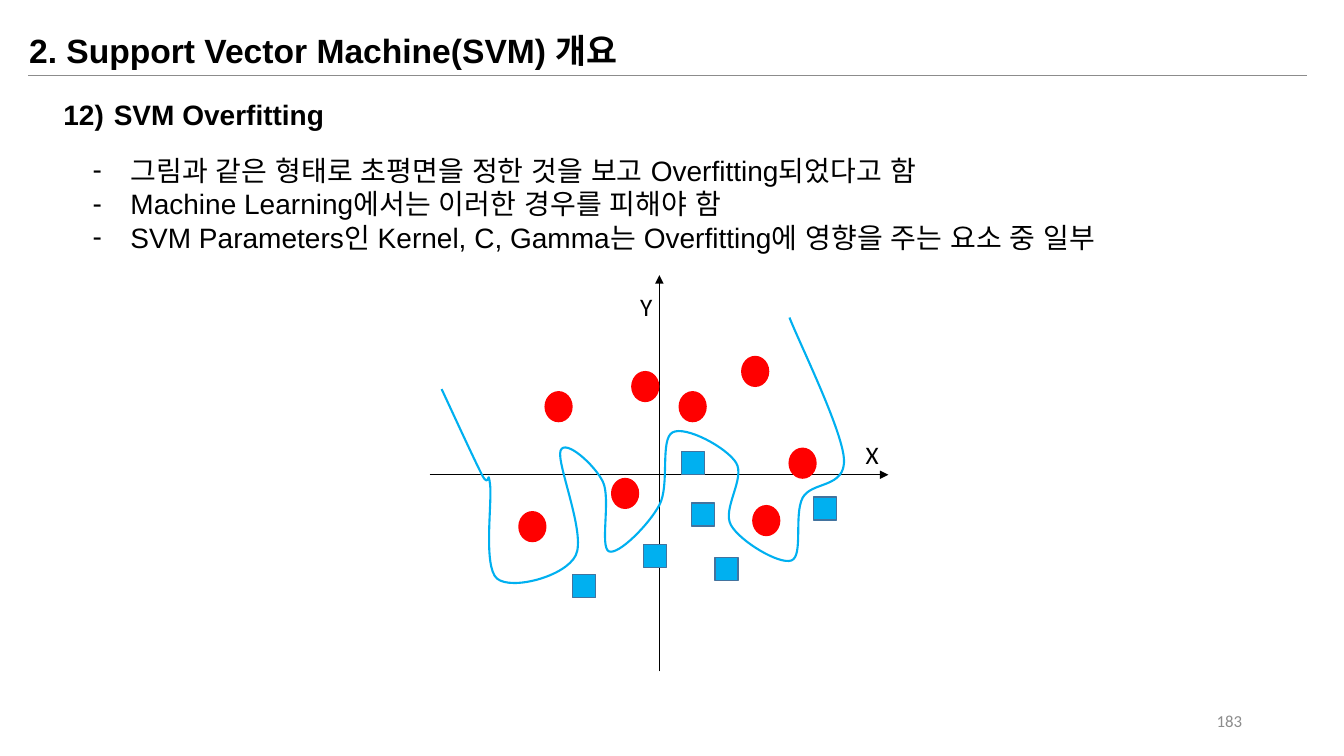
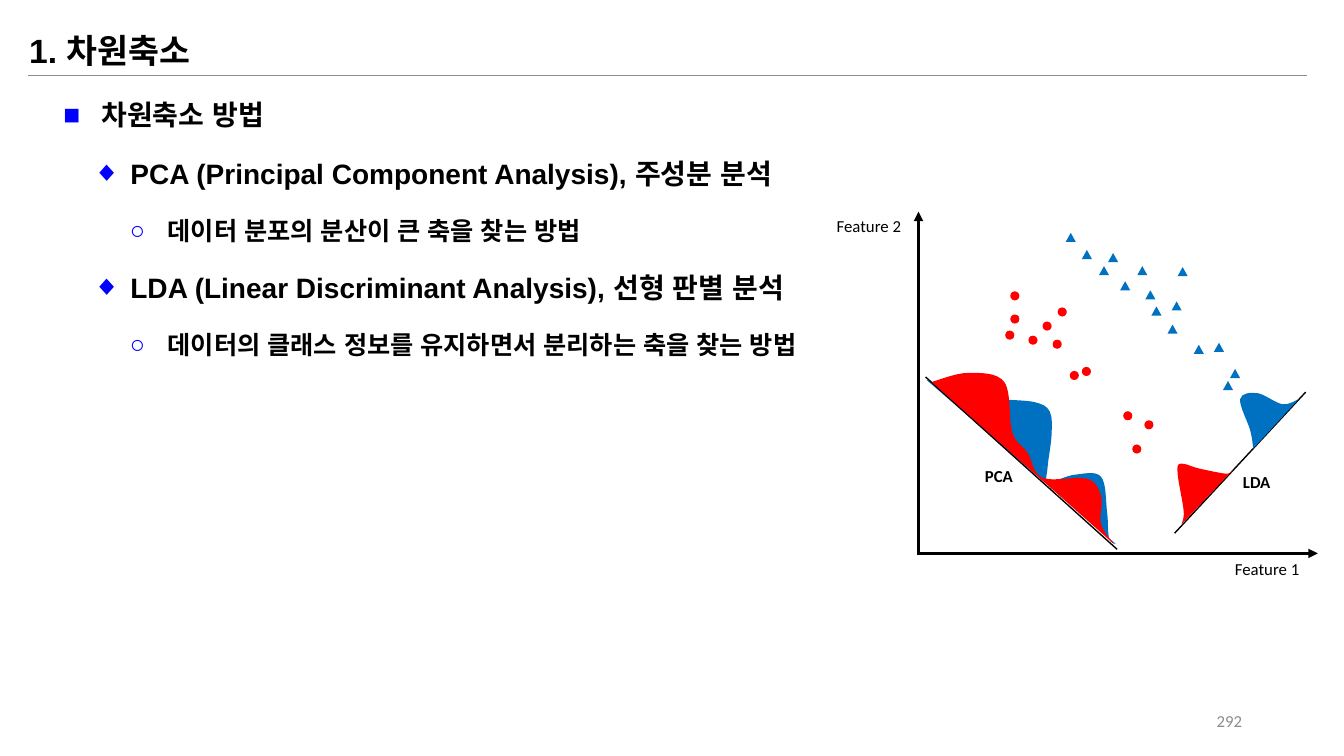
from dataclasses import dataclass
from typing import Optional

from lxml import etree
from pptx import Presentation
from pptx.dml.color import RGBColor
from pptx.enum.shapes import MSO_CONNECTOR, MSO_SHAPE
from pptx.enum.text import MSO_ANCHOR, MSO_AUTO_SIZE, PP_ALIGN
from pptx.oxml.ns import qn
from pptx.util import Emu, Pt

# Scale: 100 px to the inch
PX = 9144
WIDTH, HEIGHT = 1333, 750

BLACK = RGBColor(0x00, 0x00, 0x00)
GREY = RGBColor(0x8C, 0x8C, 0x8C)
RED = RGBColor(0xFF, 0x00, 0x00)
SKY = RGBColor(0x00, 0xB0, 0xF0)
SKY_EDGE = RGBColor(0x43, 0x73, 0x9E)
BLUE = RGBColor(0x00, 0x70, 0xC0)
BULLET_BLUE = RGBColor(0x00, 0x00, 0xFF)

ARIAL, CALIBRI = "Arial", "Calibri"
STRAIGHT = MSO_CONNECTOR.STRAIGHT
RECT, OVAL, TRIANGLE = MSO_SHAPE.RECTANGLE, MSO_SHAPE.OVAL, MSO_SHAPE.ISOSCELES_TRIANGLE
LEFT, CENTER, RIGHT = PP_ALIGN.LEFT, PP_ALIGN.CENTER, PP_ALIGN.RIGHT
TOP, MIDDLE = MSO_ANCHOR.TOP, MSO_ANCHOR.MIDDLE
GROW, FIXED = MSO_AUTO_SIZE.SHAPE_TO_FIT_TEXT, MSO_AUTO_SIZE.NONE

Point = tuple[int, int]


@dataclass(frozen=True)
class Bullet:
    char: str = ""
    color: Optional[RGBColor] = None
    start: int = 0
    indent: Emu = Pt(27)


@dataclass(frozen=True)
class Markers:
    kind: MSO_SHAPE
    w: int
    h: int
    fill: RGBColor
    points: list[Point]
    edge: Optional[RGBColor] = None


@dataclass(frozen=True)
class Curve:
    points: list[Point]
    fill: Optional[RGBColor] = None
    line: Optional[RGBColor] = None


DASH = Bullet("-")
NUMBER_12 = Bullet(start=12, indent=Pt(36))
SQUARE, DIAMOND, CIRCLE = (Bullet(c, BULLET_BLUE) for c in "■◆○")


def px(n: float) -> Emu:
    return Emu(round(n * PX))


def add_bullet(p, bullet: Bullet) -> None:
    pPr = p._p.get_or_add_pPr()
    pPr.set("marL", str(bullet.indent))
    pPr.set("indent", str(-bullet.indent))
    if bullet.color:
        clr = etree.SubElement(pPr, qn("a:buClr"))
        etree.SubElement(clr, qn("a:srgbClr"), val=str(bullet.color))
    etree.SubElement(pPr, qn("a:buFont"), typeface=ARIAL)
    if bullet.start:
        etree.SubElement(pPr, qn("a:buAutoNum"), type="arabicParenR", startAt=str(bullet.start))
    else:
        etree.SubElement(pPr, qn("a:buChar"), char=bullet.char)


def add_text(s, text: str, x: int, y: int, w: int, h: int, *, size: int = 20,
             font: str = ARIAL, bold: bool = False, color: RGBColor = BLACK,
             align: PP_ALIGN = LEFT, anchor: MSO_ANCHOR = TOP, wrap: bool = True,
             fit: MSO_AUTO_SIZE = GROW, bullet: Optional[Bullet] = None,
             leading: Optional[int] = None, inset: int = 10) -> None:
    """Add a text box with one paragraph for each line of text."""
    tf = s.shapes.add_textbox(px(x), px(y), px(w), px(h)).text_frame
    tf.word_wrap, tf.auto_size, tf.vertical_anchor = wrap, fit, anchor
    tf.margin_left = tf.margin_right = px(inset)
    for i, line in enumerate(text.split("\n")):
        p = tf.add_paragraph() if i else tf.paragraphs[0]
        if bullet:
            add_bullet(p, bullet)
        p.alignment = align
        if leading:
            p.line_spacing = Pt(leading)
        r = p.add_run()
        r.text = line
        r.font.size, r.font.bold, r.font.name = Pt(size), bold, font
        r.font.color.rgb = color
        etree.SubElement(r._r.get_or_add_rPr(), qn("a:ea"), typeface=font)


def add_line(s, start: Point, end: Point, width: float = 1,
             color: RGBColor = BLACK, arrow: bool = False) -> None:
    c = s.shapes.add_connector(STRAIGHT, *map(px, start + end))
    c.line.color.rgb, c.line.width = color, Pt(width)
    if arrow:
        etree.SubElement(c.line._get_or_add_ln(), qn("a:tailEnd"), type="triangle")
    etree.SubElement(c._element.spPr, qn("a:effectLst"))


def paint(sp, fill: Optional[RGBColor], line: Optional[RGBColor], width: float = 1) -> None:
    sp.shadow.inherit = False
    if fill:
        sp.fill.solid()
        sp.fill.fore_color.rgb = fill
    else:
        sp.fill.background()
    if line:
        sp.line.color.rgb, sp.line.width = line, Pt(width)
    else:
        sp.line.fill.background()


def add_markers(s, m: Markers) -> None:
    for x, y in m.points:
        paint(s.shapes.add_shape(m.kind, px(x), px(y), px(m.w), px(m.h)), m.fill, m.edge)


def add_curve(s, curve: Curve) -> None:
    """Add an outline that runs smoothly (Catmull-Rom) through the points."""
    points = curve.points
    builder = s.shapes.build_freeform(*map(px, points[0]), scale=1.0)
    builder.add_line_segments([(px(x), px(y)) for x, y in points[1:]], close=False)
    sp = builder.convert_to_shape()
    # Turn each straight segment into a Bezier segment
    left, top = (min(axis) for axis in zip(*points))
    padded = [points[0], *points, points[-1]]
    segments = list(sp._element.iter(qn("a:lnTo")))
    for segment, a, b, c, d in zip(segments, padded, padded[1:], padded[2:], padded[3:]):
        segment.tag = qn("a:cubicBezTo")
        controls = ((b[0] + (c[0] - a[0]) / 6, b[1] + (c[1] - a[1]) / 6),
                    (c[0] - (d[0] - b[0]) / 6, c[1] - (d[1] - b[1]) / 6))
        for i, (x, y) in enumerate(controls):
            pt = etree.Element(qn("a:pt"), x=str(px(x - left)), y=str(px(y - top)))
            segment.insert(i, pt)
    paint(sp, curve.fill, curve.line, 1.5)


def new_slide(prs, title: str, number: int):
    """Slide with the shared title, rule and page number."""
    s = prs.slides.add_slide(prs.slide_layouts[6])
    add_line(s, (28, 75), (1296, 75), 0.5, GREY)
    add_text(s, title, 19, 25, 915, 50, size=24, bold=True)
    add_text(s, str(number), 942, 695, 300, 40, size=12, font=CALIBRI, color=GREY,
             align=RIGHT, anchor=MIDDLE, fit=FIXED)
    return s


# Overfitting diagram
SQUARES = Markers(RECT, 23, 23, SKY, [
    (686, 499), (638, 540), (676, 448), (568, 570), (709, 553), (807, 493)], SKY_EDGE)
CIRCLES = Markers(OVAL, 28, 31, RED, [
    (514, 507), (540, 388), (606, 474), (626, 368),
    (673, 388), (735, 353), (746, 501), (782, 444)])
BOUNDARY = Curve([
    (438, 386), (478, 471), (486, 480), (493, 574), (571, 551), (556, 447), (598, 478),
    (604, 547), (654, 501), (667, 429), (730, 459), (725, 521), (785, 556), (796, 494),
    (837, 455), (783, 315)], line=SKY)

# PCA and LDA diagram
DOTS = Markers(OVAL, 9, 9, RED, [
    (1002, 312), (1002, 289), (1034, 319), (997, 328), (1044, 337), (1020, 333),
    (1049, 305), (1061, 368), (1073, 364), (1114, 408), (1135, 417), (1123, 441)])
TRIANGLES = Markers(TRIANGLE, 10, 9, BLUE, [
    (1057, 231), (1204, 340), (1099, 251), (1128, 264), (1111, 279), (1136, 288),
    (1168, 265), (1162, 299), (1142, 304), (1158, 322), (1184, 342), (1073, 248),
    (1090, 264), (1220, 366), (1213, 378)])
PCA_BLUE = Curve([
    (919, 377), (958, 391), (993, 396), (1026, 399), (1041, 408), (1043, 431), (1039, 464),
    (1040, 478), (1066, 471), (1092, 473), (1098, 508), (1100, 534), (1107, 540)], BLUE)
PCA_RED = Curve([
    (924, 379), (960, 370), (996, 379), (1004, 429), (1019, 449), (1034, 474),
    (1078, 475), (1092, 492), (1092, 520), (1105, 540)], RED)
LDA_RED = Curve([
    (1172, 520), (1174, 507), (1168, 470), (1171, 460), (1190, 465), (1217, 470),
    (1223, 466)], RED)
LDA_BLUE = Curve([
    (1243, 445), (1240, 427), (1230, 396), (1247, 390), (1272, 401), (1288, 396)], BLUE)


def overfitting_slide(prs) -> None:
    s = new_slide(prs, "2. Support Vector Machine(SVM) 개요", 183)
    add_text(s, "SVM Overfitting", 53, 92, 915, 44, bold=True, bullet=NUMBER_12)
    add_text(s, "그림과 같은 형태로 초평면을 정한 것을 보고 Overfitting되었다고 함\n"
                "Machine Learning에서는 이러한 경우를 피해야 함\n"
                "SVM Parameters인 Kernel, C, Gamma는 Overfitting에 영향을 주는 요소 중 일부",
             82, 147, 1209, 145, bullet=DASH, leading=24)
    # Axes
    add_line(s, (426, 471), (881, 471), arrow=True)
    add_line(s, (654, 666), (654, 273), arrow=True)
    for name, x, y in (("Y", 625, 284), ("X", 849, 431)):
        add_text(s, name, x, y, 32, 40, size=18, font=CALIBRI, align=CENTER, inset=0)
    # Samples and decision boundary
    add_markers(s, SQUARES)
    add_markers(s, CIRCLES)
    add_curve(s, BOUNDARY)


def reduction_slide(prs) -> None:
    s = new_slide(prs, "1. 차원축소", 292)
    add_text(s, "차원축소 방법", 53, 92, 915, 44, bold=True, bullet=SQUARE)
    methods = (
        ("PCA (Principal Component Analysis), 주성분 분석",
         "데이터 분포의 분산이 큰 축을 찾는 방법"),
        ("LDA (Linear Discriminant Analysis), 선형 판별 분석",
         "데이터의 클래스 정보를 유지하면서 분리하는 축을 찾는 방법"))
    for i, (method, detail) in enumerate(methods):
        y = 150 + 113 * i
        add_text(s, method, 82, y, 1176, 44, bold=True, bullet=DIAMOND)
        add_text(s, detail, 119, y + 59, 1165, 40, size=18, bold=True, bullet=CIRCLE)
    # Axes and samples
    add_curve(s, PCA_BLUE)
    add_line(s, (911, 551), (911, 210), 2.25, arrow=True)
    add_line(s, (912, 549), (1307, 549), 2.25, arrow=True)
    add_markers(s, DOTS)
    add_markers(s, TRIANGLES)
    # Projection lines and distributions
    add_line(s, (918, 374), (1108, 545))
    add_curve(s, PCA_RED)
    add_line(s, (1295, 389), (1165, 529))
    add_curve(s, LDA_RED)
    add_curve(s, LDA_BLUE)
    # Labels
    for label, x, y, w, bold in (("Feature 2", 820, 209, 92, False),
                                 ("Feature 1", 1215, 549, 92, False),
                                 ("PCA", 967, 457, 53, True),
                                 ("LDA", 1223, 463, 53, True)):
        add_text(s, label, x, y, w, 30, size=12, font=CALIBRI, bold=bold, wrap=False)


def main() -> None:
    prs = Presentation()
    prs.slide_width, prs.slide_height = px(WIDTH), px(HEIGHT)
    overfitting_slide(prs)
    reduction_slide(prs)
    prs.save("out.pptx")


if __name__ == "__main__":
    main()
